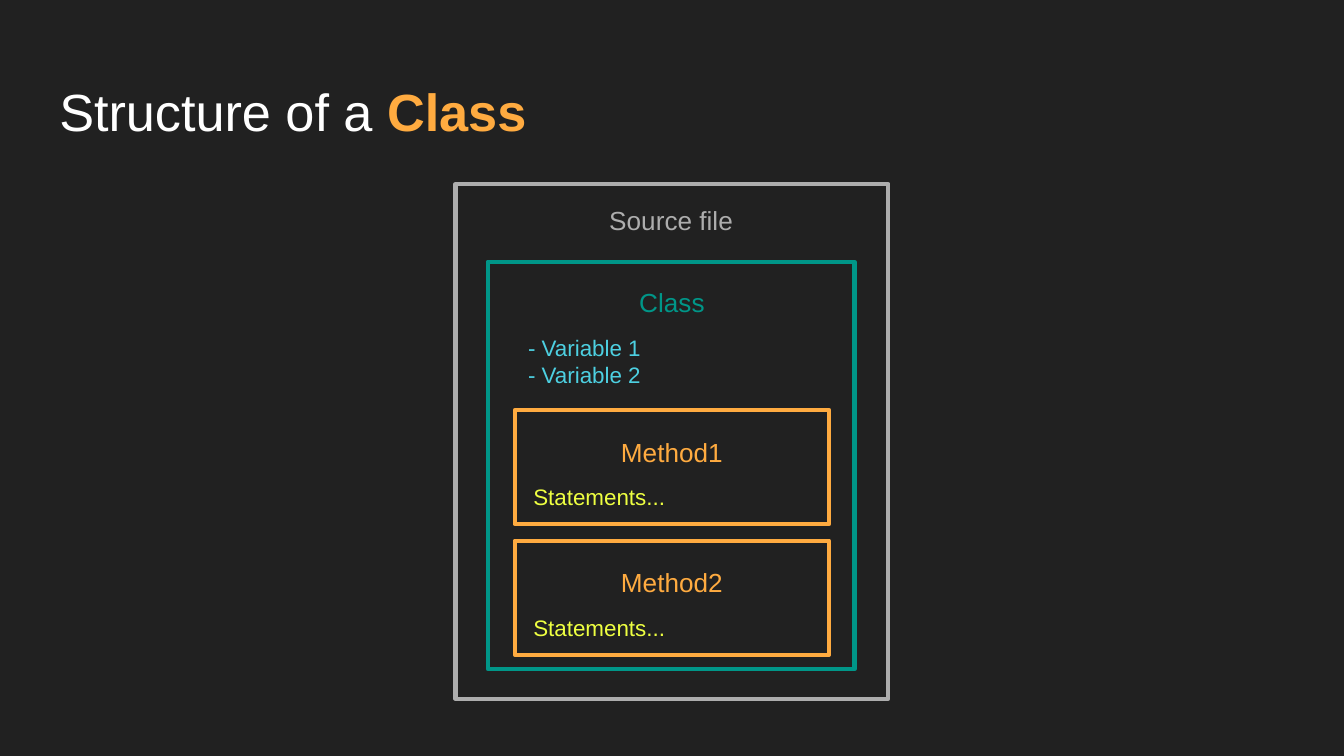
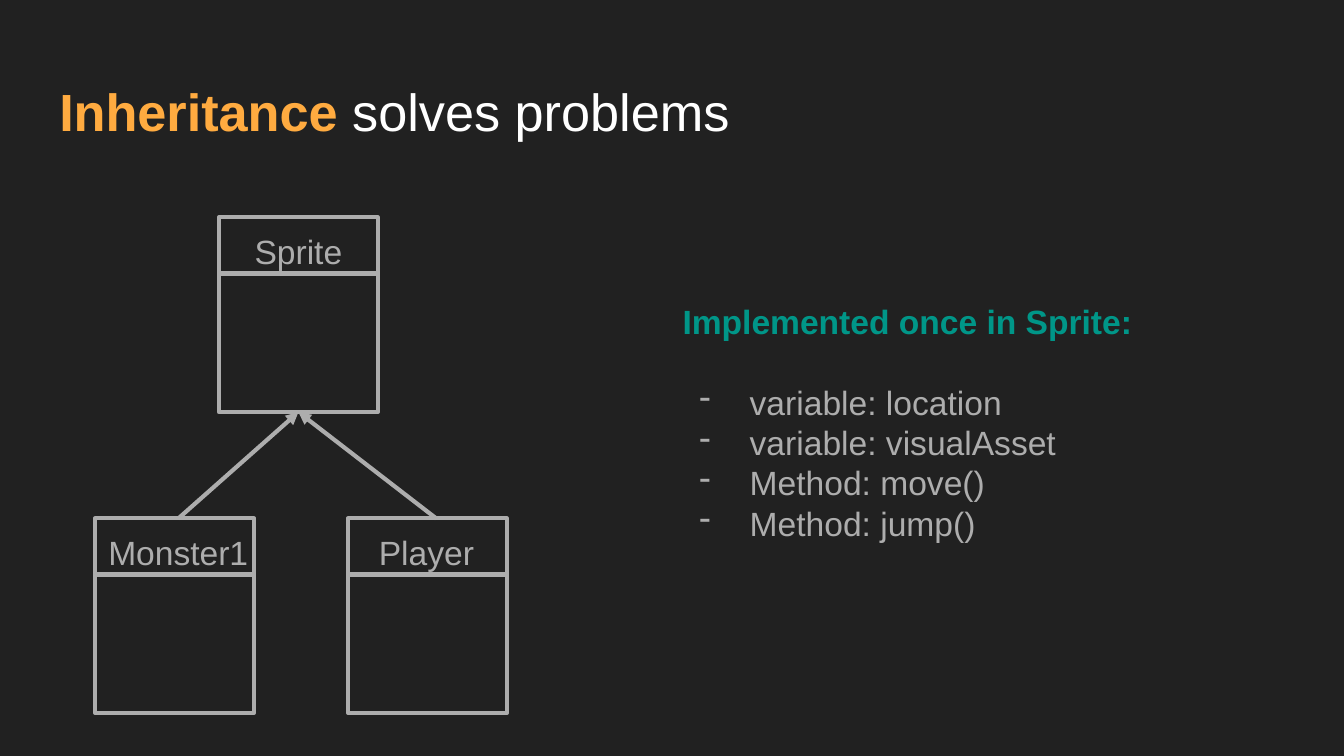
from lxml import etree
from pptx import Presentation
from pptx.dml.color import RGBColor
from pptx.enum.shapes import MSO_CONNECTOR, MSO_SHAPE
from pptx.enum.text import MSO_ANCHOR, PP_ALIGN
from pptx.oxml.ns import qn
from pptx.util import Cm, Pt

LEFT, CENTER = PP_ALIGN.LEFT, PP_ALIGN.CENTER
TOP = MSO_ANCHOR.TOP
RECTANGLE = MSO_SHAPE.RECTANGLE
STRAIGHT = MSO_CONNECTOR.STRAIGHT

FONT = "Arial"
DARK, WHITE, GRAY = "212121", "FFFFFF", "ADADAD"
TEAL, ORANGE, CYAN, YELLOW = "009688", "FFAB40", "4DD0E1", "EEFF41"
LINE_WIDTH = Pt(2.25)
TITLE_ONLY = 5
CLASS_WIDTH, CLASS_HEIGHT, HEADER_HEIGHT = 3, 3.68, 1.06


def rgb(color):
    return RGBColor.from_string(color)


def place(shape, left, top, width, height):
    shape.left, shape.top = Cm(left), Cm(top)
    shape.width, shape.height = Cm(width), Cm(height)


def format_frame(text_frame):
    text_frame.word_wrap = True
    text_frame.vertical_anchor = TOP
    text_frame.margin_left = text_frame.margin_right = Cm(0.25)
    text_frame.margin_top = text_frame.margin_bottom = Cm(0.25)


def format_run(run, size, color, bold=False):
    run.font.name = FONT
    run.font.size = Pt(size)
    run.font.bold = bold
    run.font.color.rgb = rgb(color)


def add_text(slide, box, text, size, color, align=LEFT):
    """Add a text box, one paragraph per line of text, and return its frame."""
    text_frame = slide.shapes.add_textbox(*map(Cm, box)).text_frame
    format_frame(text_frame)
    text_frame.text = text
    for paragraph in text_frame.paragraphs:
        paragraph.alignment = align
        for run in paragraph.runs:
            format_run(run, size, color)
    return text_frame


def add_frame(slide, box, color):
    shape = slide.shapes.add_shape(RECTANGLE, *map(Cm, box))
    shape.shadow.inherit = False
    shape.fill.background()
    shape.line.color.rgb = rgb(color)
    shape.line.width = LINE_WIDTH


def add_line(slide, start, end, arrow=False):
    connector = slide.shapes.add_connector(STRAIGHT, *map(Cm, (*start, *end)))
    connector.line.color.rgb = rgb(GRAY)
    connector.line.width = LINE_WIDTH
    if arrow:
        line = connector.line._get_or_add_ln()
        etree.SubElement(line, qn("a:tailEnd"), type="triangle")
    etree.SubElement(connector._element.spPr, qn("a:effectLst"))


def add_slide(presentation, title_parts):
    """Add a slide whose title is made of (text, is highlighted) parts."""
    slide = presentation.slides.add_slide(presentation.slide_layouts[TITLE_ONLY])
    title = slide.shapes.title
    place(title, 0.87, 1.24, 23.67, 1.6)
    format_frame(title.text_frame)
    paragraph = title.text_frame.paragraphs[0]
    paragraph.alignment = LEFT
    for text, highlighted in title_parts:
        run = paragraph.add_run()
        run.text = text
        format_run(run, 28, ORANGE if highlighted else WHITE, highlighted)
    return slide


def add_method(slide, left, top, name):
    add_frame(slide, (left, top, 5.94, 2.16), ORANGE)
    add_text(slide, (left + 0.48, top + 0.24, 4.98, 0.69), name, 14, ORANGE, CENTER)
    add_text(slide, (left + 0.1, top + 1.14, 5.84, 1), "Statements...", 12, YELLOW)


def add_source_file(slide, left, top):
    """Draw the nested frames: source file, class and methods."""
    class_left, class_top = left + 0.61, top + 1.47
    inner_left = class_left + 0.51
    add_frame(slide, (left, top, 8.18, 9.73), GRAY)
    add_text(slide, (class_left, top + 0.13, 6.93, 1.68), "Source file", 14, GRAY, CENTER)
    add_frame(slide, (class_left, class_top, 6.93, 7.7), TEAL)
    add_text(slide, (inner_left, class_top + 0.21, 5.94, 1), "Class", 14, TEAL, CENTER)
    add_text(slide, (inner_left, class_top + 1.12, 14.43, 1.68),
             "- Variable 1\n- Variable 2", 12, CYAN)
    for index, name in enumerate(("Method1", "Method2")):
        add_method(slide, inner_left, class_top + 2.8 + index * 2.47, name)


def add_class_box(slide, left, top, name, label_shift=0, label_width=CLASS_WIDTH, align=CENTER):
    """Draw a class with its header and return the x of the label's centre."""
    add_frame(slide, (left, top, CLASS_WIDTH, CLASS_HEIGHT), GRAY)
    divider = top + HEADER_HEIGHT
    add_line(slide, (left, divider), (left + CLASS_WIDTH, divider))
    label_left = left + label_shift
    add_text(slide, (label_left, top, label_width, 0.84), name, 18, GRAY, align)
    return label_left + label_width / 2


def add_class_tree(slide, left, top):
    child_top = top + 5.69
    children = (
        add_class_box(slide, left, child_top, "Monster1", -0.08, 3.3),
        add_class_box(slide, left + 4.78, child_top, "Player", 0.33, 2.67, LEFT),
    )
    parent = add_class_box(slide, left + 2.34, top, "Sprite")
    for child in children:
        add_line(slide, (child, child_top), (parent, top + CLASS_HEIGHT), arrow=True)


def add_dash_bullet(paragraph):
    properties = paragraph._p.get_or_add_pPr()
    properties.set("marL", str(Cm(1.27)))
    properties.set("indent", str(-Cm(0.95)))
    bullet_color = etree.SubElement(properties, qn("a:buClr"))
    etree.SubElement(bullet_color, qn("a:srgbClr"), val=GRAY)
    etree.SubElement(properties, qn("a:buChar"), char="-")


def add_member_list(slide, box, heading, members):
    text_frame = add_text(slide, box, "\n".join((heading, *members)), 18, GRAY)
    first, *others = text_frame.paragraphs
    format_run(first.runs[0], 18, TEAL, bold=True)
    first.space_after = Pt(21.6)
    for paragraph in others:
        add_dash_bullet(paragraph)


def main():
    presentation = Presentation()
    presentation.slide_width, presentation.slide_height = Cm(25.4), Cm(14.29)
    background = presentation.slide_master.background.fill
    background.solid()
    background.fore_color.rgb = rgb(DARK)

    structure = add_slide(presentation, [("Structure of a ", False), ("Class", True)])
    add_source_file(structure, 8.61, 3.48)

    inheritance = add_slide(presentation, [("Inheritance ", True), ("solves problems", False)])
    add_class_tree(inheritance, 1.8, 4.11)
    add_member_list(
        inheritance, (12.65, 5.44, 10.92, 6.71), "Implemented once in Sprite:",
        ("variable: location", "variable: visualAsset", "Method: move()", "Method: jump()"))

    presentation.save("out.pptx")


if __name__ == "__main__":
    main()
